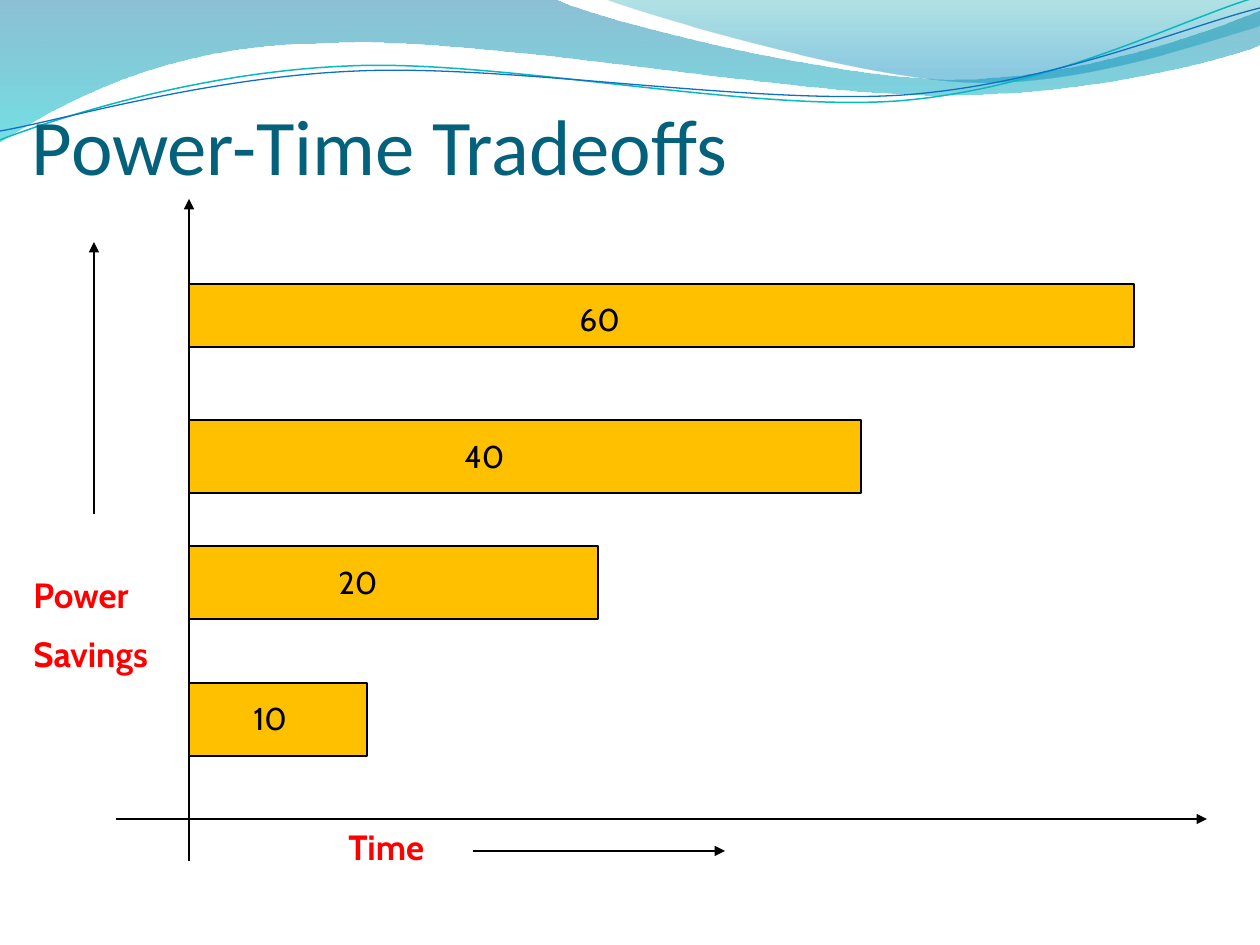
"""Build the Power-Time Tradeoffs slide with its wave header and bar diagram."""
import math
from dataclasses import dataclass

from lxml import etree
from pptx import Presentation
from pptx import util as u
from pptx.dml.color import RGBColor
from pptx.enum import shapes, text
from pptx.oxml import ns

SCALE = 914400 / 126
WIDTH, HEIGHT = 1260, 945
STRAND_TILT = 2.7
BLACK = RGBColor(0x00, 0x00, 0x00)
RED = RGBColor(0xFF, 0x00, 0x00)
AMBER = RGBColor(0xFF, 0xC0, 0x00)
TITLE_BLUE = RGBColor(0x04, 0x61, 0x7B)
DEEP_BLUE = RGBColor(0x00, 0x74, 0xA1)
CYAN = RGBColor(0x00, 0xC6, 0xCF)
TEAL = RGBColor(0x00, 0xA1, 0xA9)
SKY = RGBColor(0x00, 0x8B, 0xBF)
LINE_TEAL = RGBColor(0x0A, 0xB8, 0xBF)
LINE_BLUE = RGBColor(0x0F, 0x6F, 0xC6)


@dataclass(frozen=True)
class Stop:
    position: float
    color: RGBColor
    opacity: int


@dataclass(frozen=True)
class Band:
    start: tuple
    edges: tuple
    stops: tuple


@dataclass(frozen=True)
class Strand:
    start: tuple
    edges: tuple
    center: tuple
    color: RGBColor
    weight: float


@dataclass(frozen=True)
class Bar:
    top: int
    width: int
    height: int
    value: str
    label_left: int
    label_top: int
    label_width: int


@dataclass(frozen=True)
class Arrow:
    start: tuple
    end: tuple


@dataclass(frozen=True)
class Label:
    lines: tuple
    left: int
    top: int
    width: int
    height: int
    size: int = 20
    color: RGBColor = RED
    bold: bool = True
    font: str = "Cabin"


BANDS = (
    Band((0, -1), ((554, -1), (600, 21, 837, 79, 955, 79), (1075, 79, 1207, 33, 1260, 11),
                   (1261, 45), (1239, 55, 1096, 96, 940, 95), (784, 95, 481, 35, 324, 43),
                   (163, 44, 58, 105, -1, 142)),
         (Stop(0, DEEP_BLUE, 45), Stop(1, CYAN, 55))),
    Band((604, -1), ((641, 14, 859, 78, 969, 82), (1079, 87, 1211, 40, 1260, 26), (1260, 0)),
         (Stop(0, TEAL, 30), Stop(0.8, SKY, 45))),
)
STRANDS = (
    Strand((0, 140), ((60, 117, 199, 72, 349, 66), (498, 59, 747, 112, 898, 101),
                      (1050, 89, 1182, 19, 1257, -3)), (629, 72), LINE_TEAL, 0.85),
    Strand((0, 131), ((59, 121, 207, 77, 357, 71), (508, 64, 752, 105, 903, 95),
                      (1053, 84, 1186, 26, 1260, 8)), (629, 74), LINE_BLUE, 0.75),
)
AXIS_LEFT = 189
AXES = (Arrow((AXIS_LEFT, 861), (AXIS_LEFT, 199)), Arrow((116, 819), (1207, 819)))
BARS = (
    Bar(284, 945, 63, "60", 567, 294, 95),
    Bar(420, 672, 73, "40", 452, 431, 116),
    Bar(546, 409, 73, "20", 326, 557, 95),
    Bar(683, 178, 73, "10", 241, 693, 63),
)
DIRECTIONS = (Arrow((473, 851), (725, 851)), Arrow((94, 514), (94, 242)))
CAPTIONS = (Label(("Time",), 336, 819, 189, 54), Label(("Power", "Savings"), 21, 567, 179, 117))


def px(value: float) -> u.Emu:
    return u.Emu(round(value * SCALE))


def turn(point: tuple, center: tuple, degrees: float) -> tuple:
    dx, dy = point[0] - center[0], point[1] - center[1]
    sin, cos = math.sin(math.radians(degrees)), math.cos(math.radians(degrees))
    return center[0] + dx * cos - dy * sin, center[1] + dx * sin + dy * cos


def add_outline(page, item: Band | Strand, close: bool, center=(0, 0), tilt: float = 0):
    """Draw straight edges from pairs and cubic edges from groups of six numbers."""
    points = [item.start]
    for edge in item.edges:
        points.extend(zip(edge[::2], edge[1::2]))
    turned = [turn(point, center, tilt) for point in points]
    first, *rest = [(px(x), px(y)) for x, y in turned]
    builder = page.shapes.build_freeform(*first)
    builder.add_line_segments(rest, close=close)
    shape = builder.convert_to_shape()
    shape.shadow.inherit = False
    shape.rotation = -tilt
    segments = iter(list(shape.element.spPr.iter(ns.qn("a:lnTo"))))
    for edge in item.edges:
        segment = next(segments)
        if len(edge) == 6:
            segment.tag = ns.qn("a:cubicBezTo")
            for extra in (next(segments), next(segments)):
                segment.append(extra[0])
                extra.getparent().remove(extra)
    return shape


def add_band(page, band: Band) -> None:
    shape = add_outline(page, band, True)
    shape.line.fill.background()
    shape.fill.gradient()
    shape.fill.gradient_angle = 270
    for target, stop in zip(shape.fill.gradient_stops, band.stops):
        target.position = stop.position
        target.color.rgb = stop.color
    for color, stop in zip(shape.element.spPr.iter(ns.qn("a:srgbClr")), band.stops):
        etree.SubElement(color, ns.qn("a:alpha"), val=str(stop.opacity * 1000))


def add_strand(page, strand: Strand) -> None:
    shape = add_outline(page, strand, False, strand.center, STRAND_TILT)
    shape.fill.background()
    shape.line.color.rgb = strand.color
    shape.line.width = u.Pt(strand.weight)


def add_arrow(page, arrow: Arrow) -> None:
    connector = page.shapes.add_connector(
        shapes.MSO_CONNECTOR.STRAIGHT, *map(px, arrow.start + arrow.end))
    connector.line.color.rgb = BLACK
    connector.line.width = u.Pt(0.75)
    outline = connector.element.spPr.find(ns.qn("a:ln"))
    etree.SubElement(outline, ns.qn("a:tailEnd"), type="triangle")
    etree.SubElement(connector.element.spPr, ns.qn("a:effectLst"))


def add_bar(page, bar: Bar) -> None:
    shape = page.shapes.add_shape(
        shapes.MSO_SHAPE.RECTANGLE, *map(px, (AXIS_LEFT, bar.top, bar.width, bar.height)))
    shape.shadow.inherit = False
    shape.fill.solid()
    shape.fill.fore_color.rgb = AMBER
    shape.line.color.rgb = BLACK
    shape.line.width = u.Pt(0.75)


def add_label(page, label: Label):
    box = page.shapes.add_textbox(*map(px, (label.left, label.top, label.width, label.height)))
    frame = box.text_frame
    frame.word_wrap = True
    frame.text = "\n".join(label.lines)
    for index, para in enumerate(frame.paragraphs):
        if index:
            para.space_before = u.Pt(label.size / 2)
        for span in para.runs:
            span.font.name, span.font.size = label.font, u.Pt(label.size)
            span.font.bold, span.font.color.rgb = label.bold, label.color
    return frame


def main() -> None:
    deck = Presentation()
    deck.slide_width, deck.slide_height = px(WIDTH), px(HEIGHT)
    page = deck.slides.add_slide(deck.slide_layouts[6])
    for band in BANDS:
        add_band(page, band)
    for strand in STRANDS:
        add_strand(page, strand)
    title = add_label(page, Label(("Power-Time Tradeoffs",), 32, 94, 1144, 97,
                                  45, TITLE_BLUE, False, "Calibri"))
    title.vertical_anchor = text.MSO_ANCHOR.BOTTOM
    title.margin_left = title.margin_right = title.margin_bottom = 0
    for arrow in AXES:
        add_arrow(page, arrow)
    for bar in BARS:
        add_bar(page, bar)
    for arrow in DIRECTIONS:
        add_arrow(page, arrow)
    values = [Label((bar.value,), bar.label_left, bar.label_top, bar.label_width, 50,
                    18, BLACK, False) for bar in reversed(BARS)]
    for label in (*CAPTIONS, *values):
        add_label(page, label)
    deck.save("out.pptx")


main()
